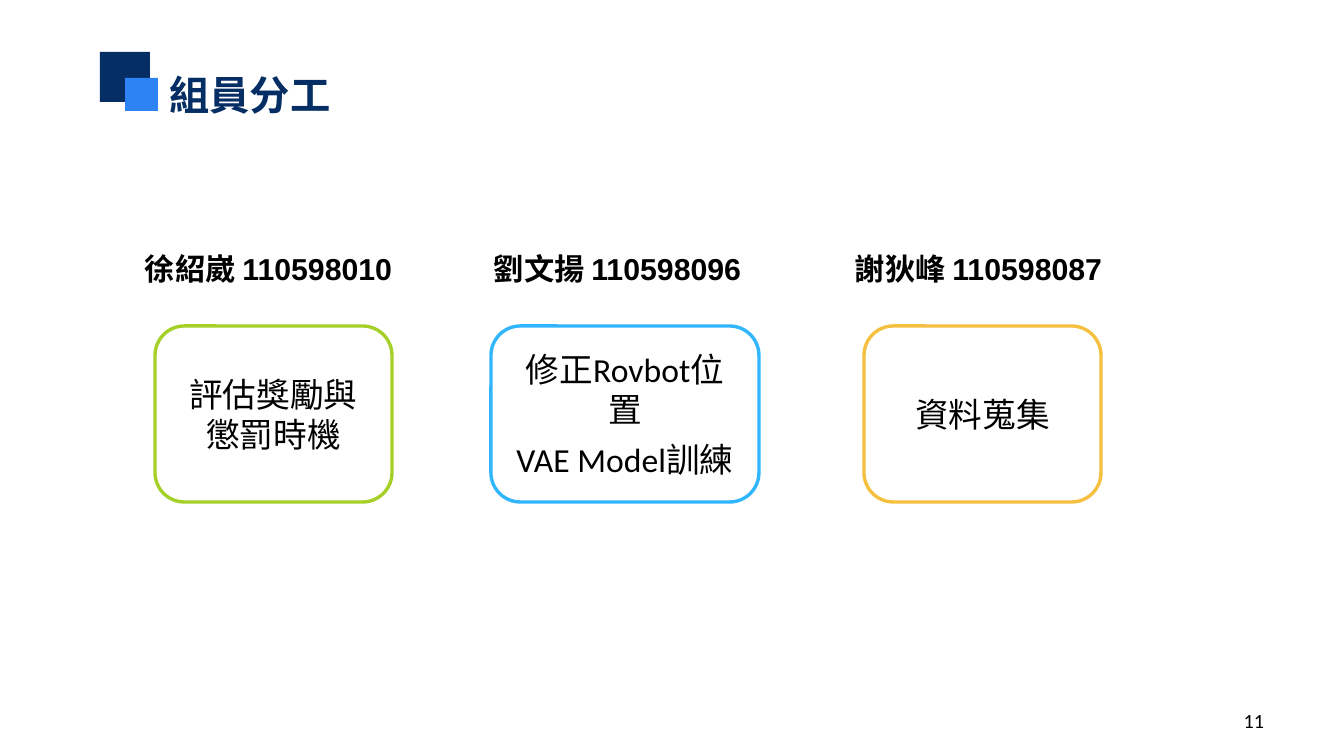
from lxml.etree import SubElement
from pptx import Presentation
from pptx.dml.color import RGBColor
from pptx.enum.shapes import MSO_SHAPE
from pptx.enum.text import MSO_ANCHOR, PP_ALIGN
from pptx.oxml.ns import qn
from pptx.util import Pt

PX = 9144 * 100 // 121
NAVY, BLUE, BLACK, WHITE = "052E65", "2D83F4", "000000", "FFFFFF"
CJK_FONT = "Noto Sans CJK SC"


def rgb(value):
    return RGBColor.from_string(value)


def write(sp, lines, size, font, color=BLACK, bold=False,
          align=PP_ALIGN.CENTER, anchor=MSO_ANCHOR.MIDDLE, before=0):
    """Fill a shape with one formatted paragraph per line."""
    tf = sp.text_frame
    tf.word_wrap = True
    tf.vertical_anchor = anchor
    tf.text = "\n".join(lines)
    for p in tf.paragraphs:
        p.alignment = align
        p.space_before = Pt(before)
        p.font.size = Pt(size)
        p.font.name = font
        p.font.bold = bold
        p.font.color.rgb = rgb(color)
        for r in p.runs:
            SubElement(r.font._element, qn("a:ea"), typeface=CJK_FONT)


prs = Presentation()
prs.slide_width, prs.slide_height = 1344 * PX, 756 * PX
s = prs.slides.add_slide(prs.slide_layouts[5])

# Title with its two overlapping squares
title = s.shapes.title
title.left, title.top, title.width, title.height = 157 * PX, 64 * PX, 647 * PX, 60 * PX
write(title, ["組員分工"], 24, CJK_FONT, NAVY, True, PP_ALIGN.LEFT, MSO_ANCHOR.TOP)

for x, y, side, color in [(100, 52, 50, NAVY), (125, 78, 33, BLUE)]:
    sp = s.shapes.add_shape(MSO_SHAPE.RECTANGLE, x * PX, y * PX, side * PX, side * PX)
    sp.shadow.inherit = False
    sp.fill.solid()
    sp.fill.fore_color.rgb = rgb(color)
    sp.line.fill.background()

# Slide number
number = s.shapes.add_textbox(963 * PX, 701 * PX, 313 * PX, 40 * PX)
write(number, ["11"], 12, "Calibri", align=PP_ALIGN.RIGHT)

# Members: name x, name, box x, box width, outline, tasks
members = [
    (96, "徐紹崴 110598010", 155, 237, "A5D028", ["評估獎勵與懲罰時機"]),
    (445, "劉文揚 110598096", 491, 268, "31B6FD", ["修正Rovbot位置", "VAE Model訓練"]),
    (806, "謝狄峰 110598087", 864, 237, "F5C040", ["資料蒐集"]),
]
for name_x, name, box_x, box_w, color, tasks in members:
    label = s.shapes.add_textbox(name_x * PX, 244 * PX, 345 * PX, 48 * PX)
    write(label, [name], 18, "Arial", bold=True, anchor=MSO_ANCHOR.TOP, before=6)

    box = s.shapes.add_shape(MSO_SHAPE.ROUNDED_RECTANGLE,
                             box_x * PX, 326 * PX, box_w * PX, 176 * PX)
    box.shadow.inherit = False
    box.fill.solid()
    box.fill.fore_color.rgb = rgb(WHITE)
    box.line.color.rgb = rgb(color)
    box.line.width = Pt(2)
    write(box, tasks, 20, "Calibri", before=6)

prs.save("out.pptx")
